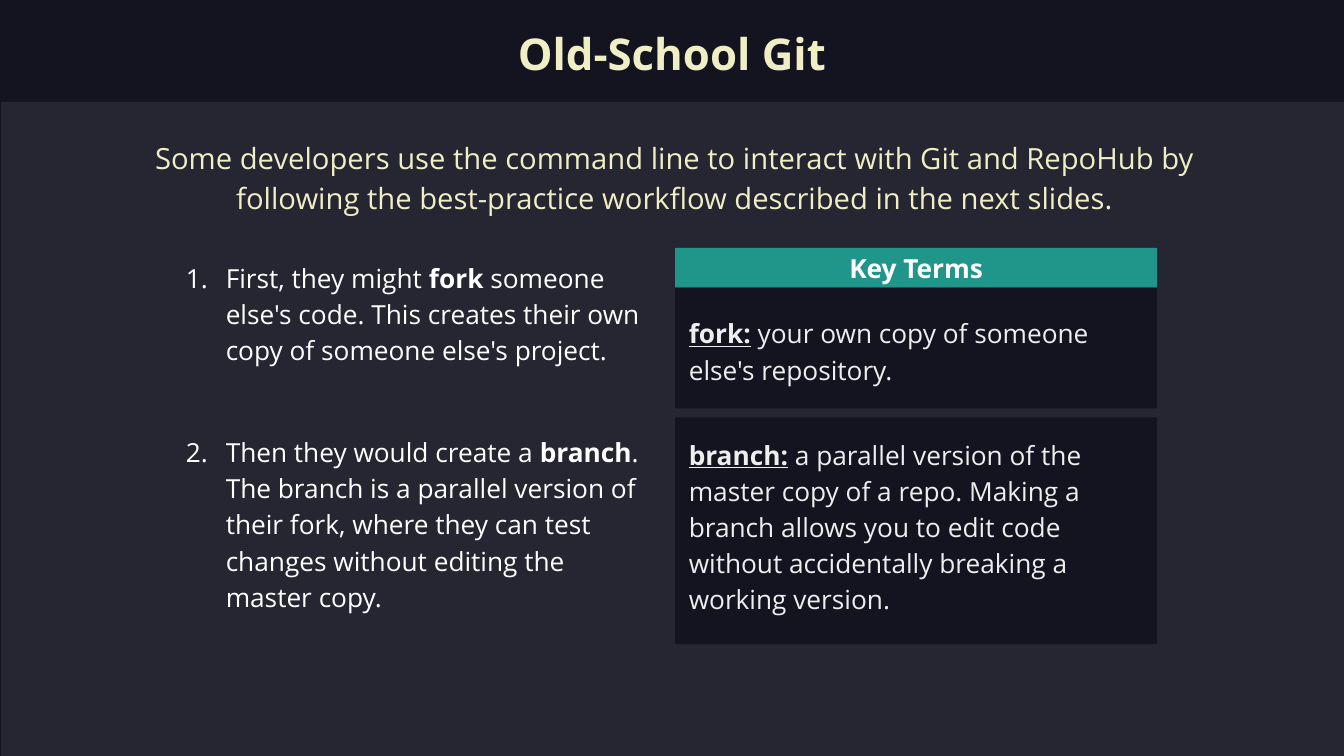
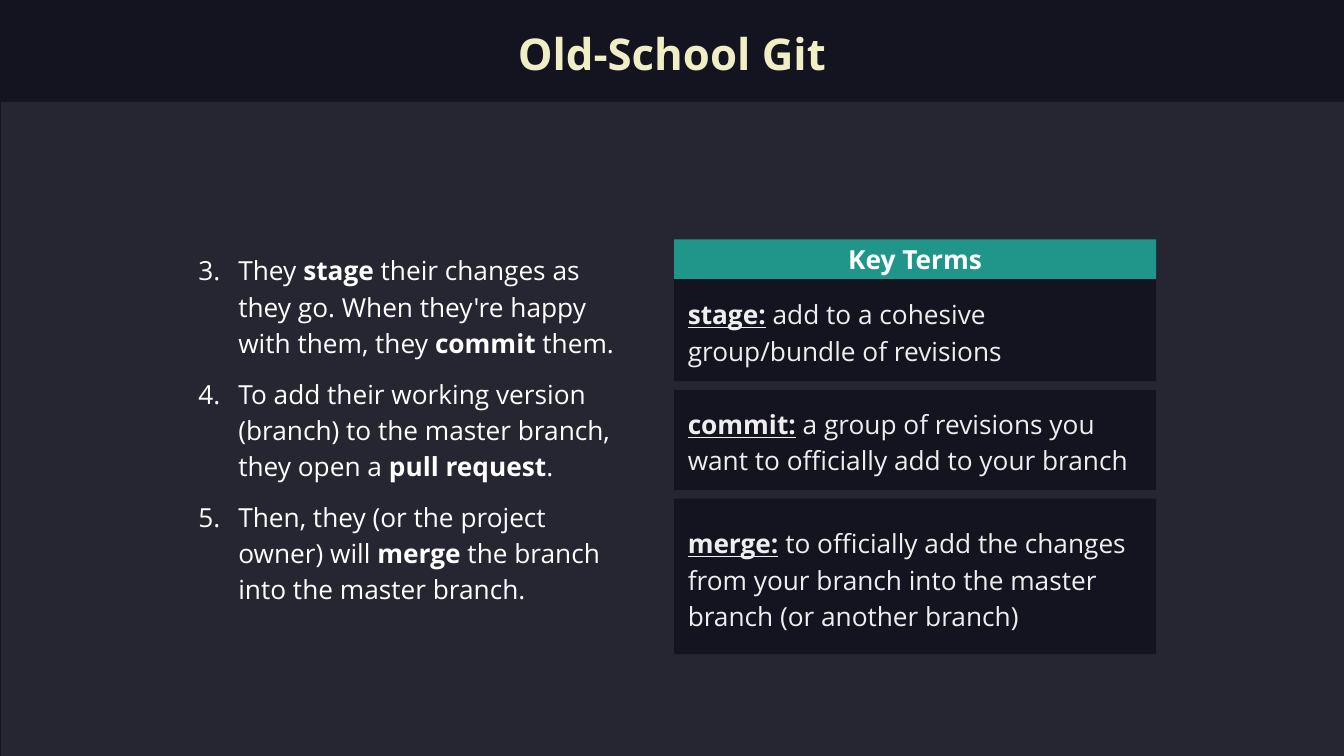
from lxml import etree
from pptx import Presentation
from pptx.dml.color import RGBColor
from pptx.enum.shapes import MSO_SHAPE
from pptx.enum.text import MSO_ANCHOR, MSO_AUTO_SIZE, PP_ALIGN
from pptx.oxml.ns import qn
from pptx.util import Inches, Pt

RECTANGLE = MSO_SHAPE.RECTANGLE
MIDDLE, TOP = MSO_ANCHOR.MIDDLE, MSO_ANCHOR.TOP
CENTER, LEFT = PP_ALIGN.CENTER, PP_ALIGN.LEFT
NO_AUTOFIT = MSO_AUTO_SIZE.NONE

NIGHT = RGBColor(0x14, 0x14, 0x21)
SLATE = RGBColor(0x26, 0x25, 0x32)
TEAL = RGBColor(0x20, 0x96, 0x8B)
CREAM = RGBColor(0xF0, 0xEE, 0xC5)
WHITE = RGBColor(0xFF, 0xFF, 0xFF)
MIST = RGBColor(0xEE, 0xEE, 0xEE)
FONT = "Open Sans"

prs = Presentation()
prs.slide_width, prs.slide_height = Inches(12.8), Inches(7.2)

# Grid of 128 columns by 72 rows
COL, ROW = prs.slide_width // 128, prs.slide_height // 72
CARD_WIDTH, HEADER_HEIGHT, CARD_GAP = 45.9, 3.8, 0.85


def grid(left, top, width, height):
    return [int(left * COL), int(top * ROW), int(width * COL), int(height * ROW)]


def write(paragraph, text, size, color, align=LEFT, underline=False):
    """Add text to a paragraph; the parts between asterisks are bold."""
    paragraph.alignment = align
    for number, part in enumerate(text.split("*")):
        if part:
            run = paragraph.add_run()
            run.text = part
            run.font.name, run.font.size = FONT, Pt(size)
            run.font.color.rgb = color
            run.font.bold = number % 2 == 1
            run.font.underline = underline and number % 2 == 1


# Each step: space before, text. Each term: height, top inset, right inset, text.
SLIDES = [
    {
        "intro": "Some developers use the command line to interact with Git and RepoHub by "
                 "following the best-practice workflow described in the next slides.",
        "steps_area": (15.5, 23.5, 47.5, 45), "first_number": 1,
        "steps": [
            (0, "First, they might *fork* someone else's code. This creates their own "
                "copy of someone else's project."),
            (45, "Then they would create a *branch*. The branch is a parallel version of "
                 "their fork, where they can test changes without editing the master copy."),
        ],
        "terms_corner": (64.3, 23.6),
        "terms": [
            (11.5, 2.4, 1.2, "*fork:* your own copy of someone else's repository."),
            (21.6, 1.6, 1.2, "*branch:* a parallel version of the master copy of a repo. "
                             "Making a branch allows you to edit code without accidentally "
                             "breaking a working version."),
        ],
    },
    {
        "intro": None,
        "steps_area": (16.7, 22.8, 45, 45), "first_number": 3,
        "steps": [
            (0, "They *stage* their changes as they go. When they're happy with them, "
                "they *commit* them."),
            (10, "To add their working version (branch) to the master branch, they open "
                 "a *pull request*."),
            (10, "Then, they (or the project owner) will *merge* the branch into the "
                 "master branch."),
        ],
        "terms_corner": (64.2, 22.8),
        "terms": [
            (9.7, 1.4, 4.5, "*stage:* add to a cohesive group/bundle of revisions"),
            (9.5, 1.3, 1.2, "*commit:* a group of revisions you want to officially add to "
                            "your branch"),
            (14.8, 2.3, 1.2, "*merge:* to officially add the changes from your branch into "
                             "the master branch (or another branch)"),
        ],
    },
]

# Shared background
background = prs.slide_master.background.fill
background.solid()
background.fore_color.rgb = NIGHT

for content in SLIDES:
    slide = prs.slides.add_slide(prs.slide_layouts[1])
    shapes = slide.shapes
    title, steps = shapes.title, slide.placeholders[1]

    # Panel below the title band, behind the text
    panel = shapes.add_shape(RECTANGLE, *grid(0.1, 9.7, 127.9, 62.3))
    panel.shadow.inherit = False
    panel.fill.solid()
    panel.fill.fore_color.rgb = SLATE
    panel.line.fill.background()
    title._element.addprevious(panel._element)

    # Title
    title.left, title.top, title.width, title.height = grid(0, 2.1, 128, 5.9)
    title.text_frame.auto_size = NO_AUTOFIT
    title.text_frame.vertical_anchor = MIDDLE
    write(title.text_frame.paragraphs[0], "*Old-School Git*", 30, CREAM, CENTER)

    # Introduction
    if content["intro"]:
        intro = shapes.add_textbox(*grid(11.8, 12.7, 104.9, 7.9)).text_frame
        intro.word_wrap = True
        intro.vertical_anchor = MIDDLE
        intro.paragraphs[0].line_spacing = 1.15
        write(intro.paragraphs[0], content["intro"], 20, CREAM, CENTER)

    # Numbered steps
    steps.left, steps.top, steps.width, steps.height = grid(*content["steps_area"])
    frame = steps.text_frame
    frame.auto_size = NO_AUTOFIT
    frame.vertical_anchor = TOP
    frame.margin_left = frame.margin_right = COL
    frame.margin_top = frame.margin_bottom = ROW
    for number, (space, text) in enumerate(content["steps"]):
        step = frame.add_paragraph() if number else frame.paragraphs[0]
        properties = step._p.get_or_add_pPr()
        properties.set("marL", str(5 * COL))
        properties.set("indent", str(int(-3.8 * COL)))
        bullet_color = etree.SubElement(properties, qn("a:buClr"))
        etree.SubElement(bullet_color, qn("a:srgbClr"), val=str(WHITE))
        etree.SubElement(properties, qn("a:buFont"), typeface=FONT)
        etree.SubElement(properties, qn("a:buAutoNum"), type="arabicPeriod",
                         startAt=str(content["first_number"]))
        step.line_spacing = 1.15
        step.space_before = Pt(space)
        step.space_after = Pt(0)
        write(step, text, 18, WHITE)

    # Key terms: a header and a stack of cards
    left, top = content["terms_corner"]
    header = (HEADER_HEIGHT, 0.6, 0.6, "*Key Terms*")
    for number, (height, inset, right, text) in enumerate([header] + content["terms"]):
        is_header = number == 0
        card = shapes.add_shape(RECTANGLE, *grid(left, top, CARD_WIDTH, height))
        card.shadow.inherit = False
        card.fill.solid()
        card.fill.fore_color.rgb = TEAL if is_header else NIGHT
        card.line.fill.background()
        frame = card.text_frame
        frame.word_wrap = True
        frame.vertical_anchor = MIDDLE if is_header else TOP
        frame.margin_left = int((0.6 if is_header else 1.3) * COL)
        frame.margin_right = int(right * COL)
        frame.margin_top = int(inset * ROW)
        frame.margin_bottom = int(0.6 * ROW)
        term = frame.paragraphs[0]
        if is_header:
            write(term, text, 18, WHITE, CENTER)
        else:
            term.line_spacing = 1.15
            write(term, text, 18, MIST, underline=True)
        top += height + (0 if is_header else CARD_GAP)

prs.save("out.pptx")
